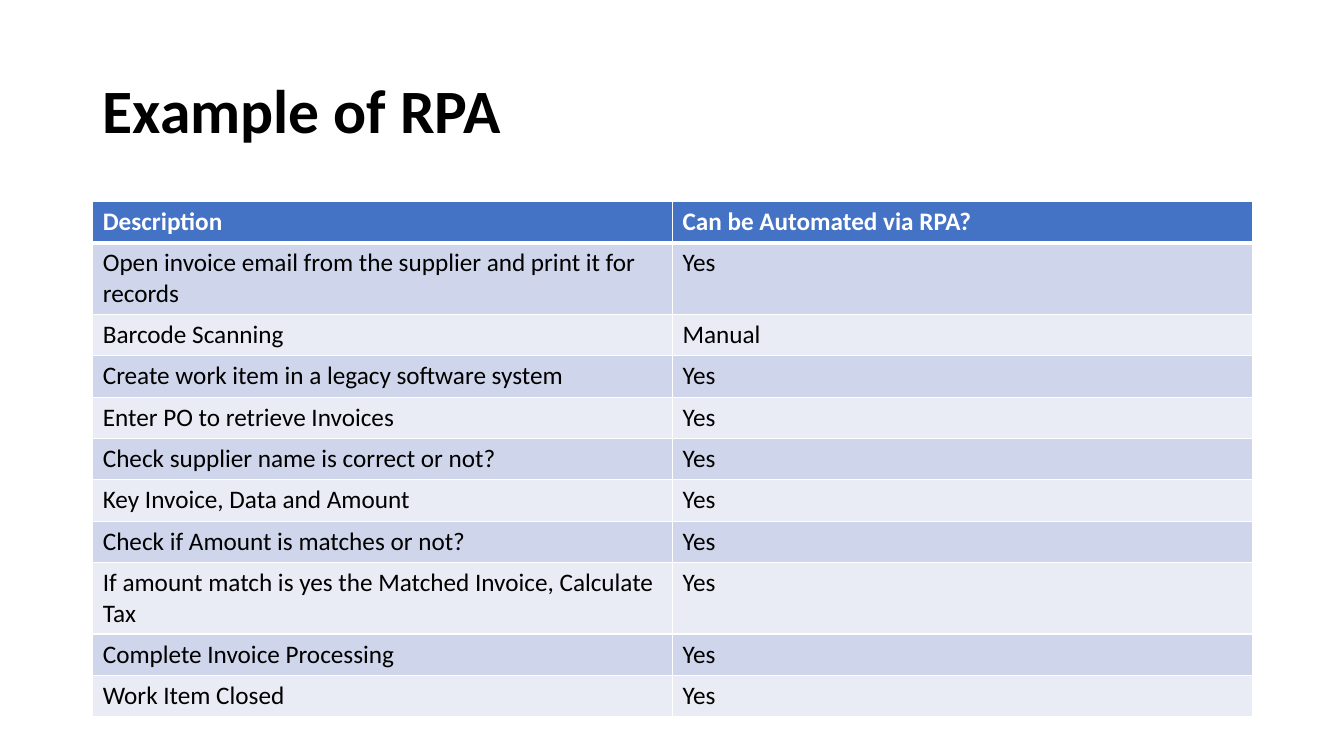
from dataclasses import dataclass

from lxml import etree
from pptx import Presentation
from pptx import util as u
from pptx.dml.color import RGBColor
from pptx.enum import text
from pptx.oxml import ns

FONT = "Calibri"
BLACK = RGBColor(0x00, 0x00, 0x00)
WHITE = RGBColor(0xFF, 0xFF, 0xFF)
HEADER_BLUE = RGBColor(0x44, 0x72, 0xC4)
BAND_DARK = RGBColor(0xCF, 0xD5, 0xEA)
BAND_LIGHT = RGBColor(0xE9, 0xEB, 0xF5)

LEFT = u.Inches(0.92)
WIDTH = u.Inches(11.5)
ROW_HEIGHT = u.Inches(0.41)
THIN, THICK = u.Pt(1), u.Pt(3)


@dataclass
class Step:
    description: str
    automated: str = "Yes"
    anchor: text.MSO_ANCHOR = text.MSO_ANCHOR.TOP


HEADER = Step("Description", "Can be Automated via RPA?")
STEPS = [
    Step("Open invoice email from the supplier and print it for records"),
    Step("Barcode Scanning", "Manual"),
    Step("Create work item in a legacy software system"),
    Step("Enter PO to retrieve Invoices"),
    Step("Check supplier name is correct or not?"),
    Step("Key Invoice, Data and Amount"),
    Step("Check if Amount is matches or not?", anchor=text.MSO_ANCHOR.MIDDLE),
    Step("If amount match is yes the Matched Invoice, Calculate Tax",
         anchor=text.MSO_ANCHOR.MIDDLE),
    Step("Complete Invoice Processing"),
    Step("Work Item Closed"),
]


def add_span(para, wording: str, size: int, color: RGBColor, bold: bool) -> None:
    span = para.add_run()
    span.text = wording
    span.font.name = FONT
    span.font.size = u.Pt(size)
    span.font.bold = bold
    span.font.color.rgb = color


def set_borders(cell, top: int, bottom: int) -> None:
    properties = cell._tc.get_or_add_tcPr()
    for side, width in (("L", THIN), ("R", THIN), ("T", top), ("B", bottom)):
        line = etree.SubElement(properties, ns.qn(f"a:ln{side}"), w=str(width))
        fill = etree.SubElement(line, ns.qn("a:solidFill"))
        etree.SubElement(fill, ns.qn("a:srgbClr"), val=str(WHITE))


def fill_row(table, index: int, step: Step) -> None:
    is_header = index == 0
    band = HEADER_BLUE if is_header else BAND_DARK if index % 2 else BAND_LIGHT
    table.rows[index].height = ROW_HEIGHT
    for column, wording in enumerate((step.description, step.automated)):
        cell = table.cell(index, column)
        # Borders come before the fill in the cell properties
        set_borders(cell, THICK if index == 1 else THIN, THICK if is_header else THIN)
        cell.fill.solid()
        cell.fill.fore_color.rgb = band
        if column == 0:
            cell.vertical_anchor = step.anchor
        add_span(cell.text_frame.paragraphs[0], wording, 18,
                 WHITE if is_header else BLACK, is_header)


def add_title(page) -> None:
    box = page.shapes.title
    box.left, box.top = LEFT, u.Inches(0.4)
    box.width, box.height = WIDTH, u.Inches(1.45)
    frame = box.text_frame
    frame.word_wrap = True
    frame.vertical_anchor = text.MSO_ANCHOR.MIDDLE
    para = frame.paragraphs[0]
    para.alignment = text.PP_ALIGN.LEFT
    para.line_spacing = 0.9
    add_span(para, "Example of RPA", 44, BLACK, True)


def add_step_table(page) -> None:
    rows = [HEADER, *STEPS]
    holder = page.shapes.add_table(len(rows), 2, LEFT, u.Inches(2), WIDTH,
                                   ROW_HEIGHT * len(rows))
    for index, step in enumerate(rows):
        fill_row(holder.table, index, step)
    # Two rows wrap onto a second line
    holder.height = u.Inches(5.05)


def main() -> None:
    deck = Presentation()
    deck.slide_width, deck.slide_height = u.Inches(13.33), u.Inches(7.5)
    page = deck.slides.add_slide(deck.slide_layouts.get_by_name("Title Only"))
    add_title(page)
    add_step_table(page)
    deck.save("out.pptx")


if __name__ == "__main__":
    main()
